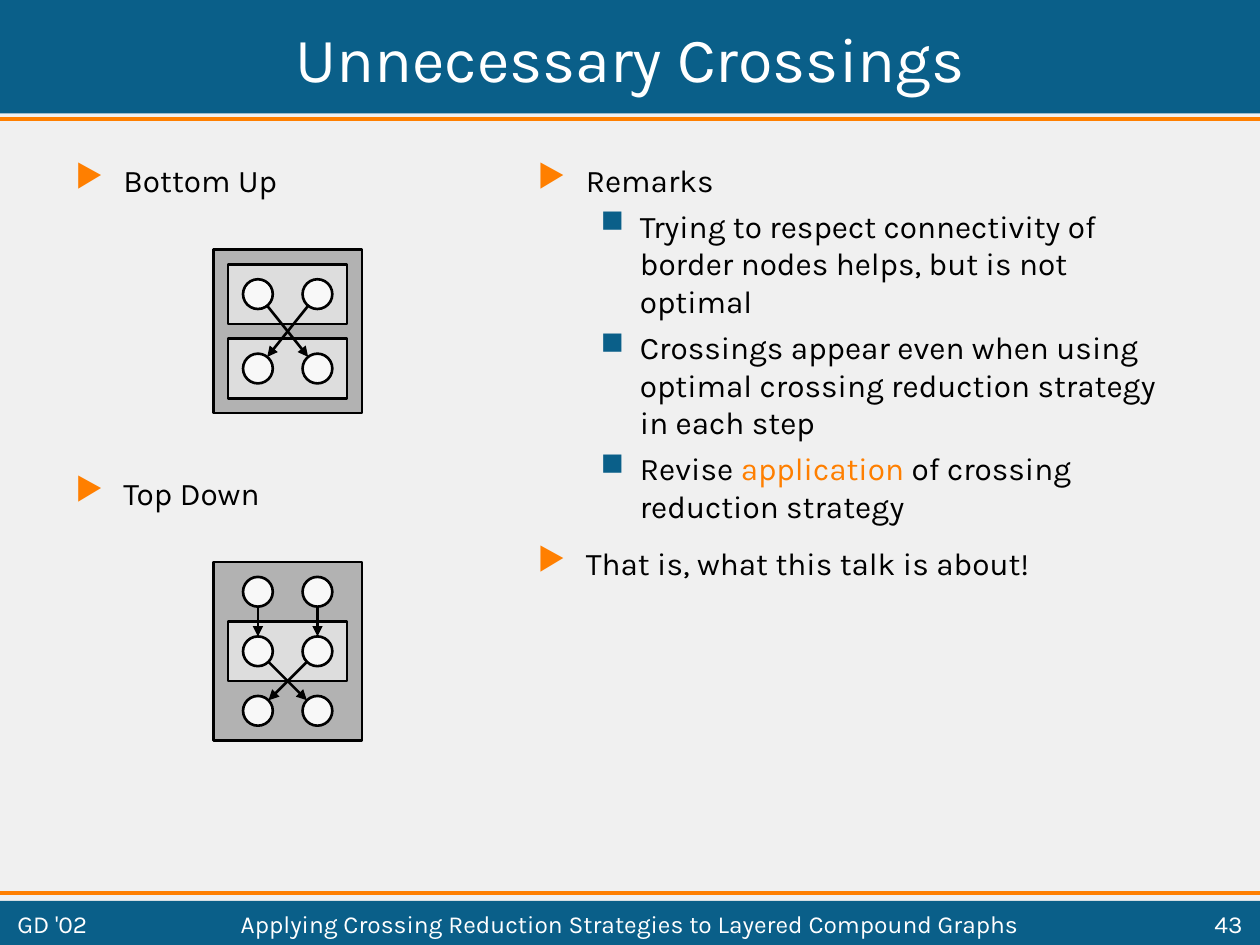
from math import hypot
from lxml.etree import SubElement
from pptx import Presentation
from pptx.dml.color import RGBColor as RGB
from pptx.enum.shapes import MSO_CONNECTOR as Link, MSO_SHAPE as Shape
from pptx.enum.text import MSO_ANCHOR as Anchor, PP_ALIGN as Align
from pptx.oxml.ns import qn
from pptx.util import Cm, Pt

BLUE = RGB(0x0A, 0x5F, 0x89)
ORANGE = RGB(0xFF, 0x7F, 0x00)
PAPER = RGB(0xF0, 0xF0, 0xF0)
GREY = RGB(0xB2, 0xB2, 0xB2)
LIGHT = RGB(0xDD, 0xDD, 0xDD)
PALE = RGB(0xF8, 0xF8, 0xF8)
WHITE = RGB(0xFF, 0xFF, 0xFF)
BLACK = RGB(0, 0, 0)
FONT = "Karla"
WIDTH, HEIGHT = 25.4, 19.05

TITLE = "Unnecessary Crossings"
BARS = [(0, 2.29), (18.16, 0.89)]
RULES = [2.39, 18.01]
FOOTER = [
    (0.1, 3, Align.LEFT, "GD '02"),
    (3.3, 18.8, Align.CENTER,
     "Applying Crossing Reduction Strategies to Layered Compound Graphs"),
    (22.3, 3, Align.RIGHT, "43"),
]
LISTS = [
    (1.27, 11.23, [
        (0, 0, ["Bottom Up"]),
        (0, 157.5, ["Top Down"]),
    ]),
    (10.59, 13.54, [
        (0, 0, ["Remarks"]),
        (1, 4.5, ["Trying to respect connectivity of border nodes helps, "
                  "but is not optimal"]),
        (1, 4.5, ["Crossings appear even when using optimal crossing "
                  "reduction strategy in each step"]),
        (1, 4.5, ["Revise ", "application", " of crossing reduction strategy"]),
        (0, 11.2, ["That is, what this talk is about!"]),
    ]),
]
BULLETS = [("▶", ORANGE, 0.97, 0.97), ("■", BLUE, 2.06, 0.79)]

UNIT = 0.3
LEFT = 4.3
COLS = [3, 7]
GRAPHS = [
    dict(top=5.03, tall=11, boxes=[1, 6], rows=[3, 8],
         edges=[(0, 0, 1), (0, 1, 0)]),
    dict(top=11.33, tall=12, boxes=[4], rows=[2, 6, 10],
         edges=[(0, 0, 0), (0, 1, 1), (1, 0, 1), (1, 1, 0)]),
]


def block(slide, kind, x, y, w, h, fill, edge=None):
    shape = slide.shapes.add_shape(kind, Cm(x), Cm(y), Cm(w), Cm(h))
    shape.shadow.inherit = False
    shape.fill.solid()
    shape.fill.fore_color.rgb = fill
    if edge is None:
        shape.line.fill.background()
    else:
        shape.line.color.rgb = edge
        shape.line.width = Pt(1.5)


def line(slide, start, end, color, width, head=False):
    link = slide.shapes.add_connector(
        Link.STRAIGHT, *(Cm(v) for v in (*start, *end)))
    link.line.color.rgb = color
    link.line.width = Pt(width)
    if head:
        SubElement(link.line._get_or_add_ln(), qn("a:tailEnd"), type="triangle")
    SubElement(link._element.spPr, qn("a:effectLst"))


def style(para, size, color, align=None):
    para.alignment = align
    para.font.name = FONT
    para.font.size = Pt(size)
    para.font.color.rgb = color


def bullet(para, level):
    char, color, indent, hang = BULLETS[level]
    props = para._p.get_or_add_pPr()
    props.set("marL", str(Cm(indent)))
    props.set("indent", str(-Cm(hang)))
    tint = SubElement(props, qn("a:buClr"))
    SubElement(tint, qn("a:srgbClr"), val=str(color))
    SubElement(props, qn("a:buChar"), char=char)
    para.level = level


def box(slide, x, y, w, h):
    frame = slide.shapes.add_textbox(Cm(x), Cm(y), Cm(w), Cm(h)).text_frame
    frame.word_wrap = True
    return frame


def outline(slide, x, w, items):
    frame = box(slide, x, 3.12, w, 14.4)
    for i, (level, gap, parts) in enumerate(items):
        para = frame.add_paragraph() if i else frame.paragraphs[0]
        bullet(para, level)
        if i:
            para.space_before = Pt(gap)
        style(para, 18, BLACK)
        for j, part in enumerate(parts):
            run = para.add_run()
            run.text = part
            if j == 1:
                run.font.color.rgb = ORANGE


def graph(slide, top, tall, boxes, rows, edges):
    def put(kind, x, y, w, h, fill):
        block(slide, kind, LEFT + x * UNIT, top + y * UNIT,
              w * UNIT, h * UNIT, fill, BLACK)

    put(Shape.RECTANGLE, 0, 0, 10, tall, GREY)
    for y in boxes:
        put(Shape.RECTANGLE, 1, y, 8, 4, LIGHT)
    for y in rows:
        for x in COLS:
            put(Shape.OVAL, x - 1, y - 1, 2, 2, PALE)
    for row, a, b in edges:
        x, y = COLS[a], rows[row]
        dx, dy = COLS[b] - x, rows[row + 1] - y
        cut = 1 / hypot(dx, dy)
        start, end = [(LEFT + (x + t * dx) * UNIT, top + (y + t * dy) * UNIT)
                      for t in (cut, 1 - cut)]
        line(slide, start, end, BLACK, 1.5, head=True)


def main():
    deck = Presentation()
    deck.slide_width, deck.slide_height = Cm(WIDTH), Cm(HEIGHT)
    slide = deck.slides.add_slide(deck.slide_layouts[5])
    slide.background.fill.solid()
    slide.background.fill.fore_color.rgb = PAPER

    for y, h in BARS:
        block(slide, Shape.RECTANGLE, 0, y, WIDTH, h, BLUE)
    for y in RULES:
        line(slide, (0, y), (WIDTH, y), ORANGE, 2.25)

    title = slide.shapes.title
    title.left, title.top, title.width, title.height = (
        Cm(v) for v in (0.1, 0.1, 25.2, 2.1))
    title.text_frame.text = TITLE
    title.text_frame.vertical_anchor = Anchor.MIDDLE
    style(title.text_frame.paragraphs[0], 36, WHITE, Align.CENTER)
    slide.shapes._spTree.append(title._element)

    for part in LISTS:
        outline(slide, *part)
    for part in GRAPHS:
        graph(slide, **part)
    for x, w, align, text in FOOTER:
        frame = box(slide, x, 18.26, w, 0.71)
        frame.vertical_anchor = Anchor.MIDDLE
        frame.text = text
        style(frame.paragraphs[0], 14, WHITE, align)
    deck.save("out.pptx")


if __name__ == "__main__":
    main()
